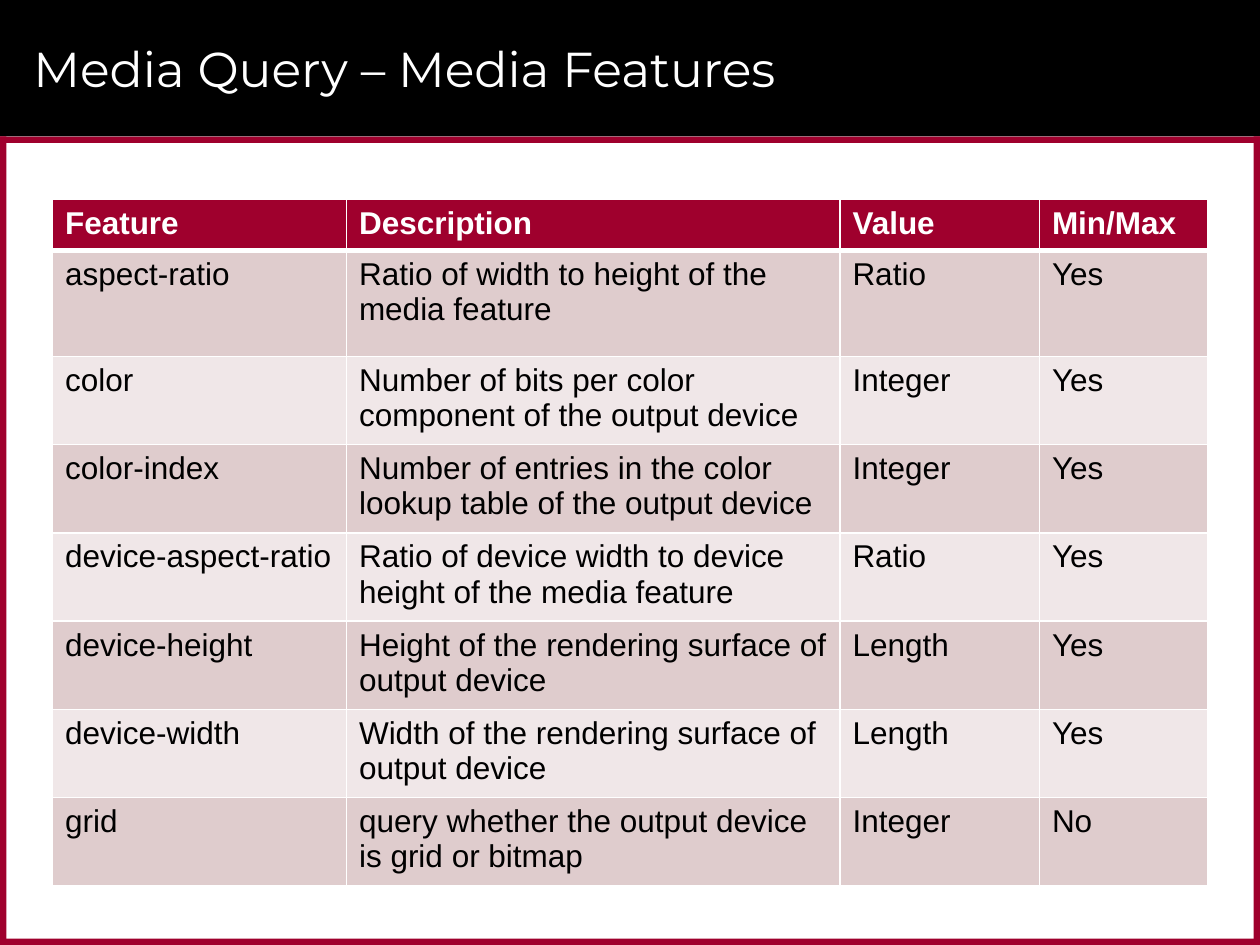
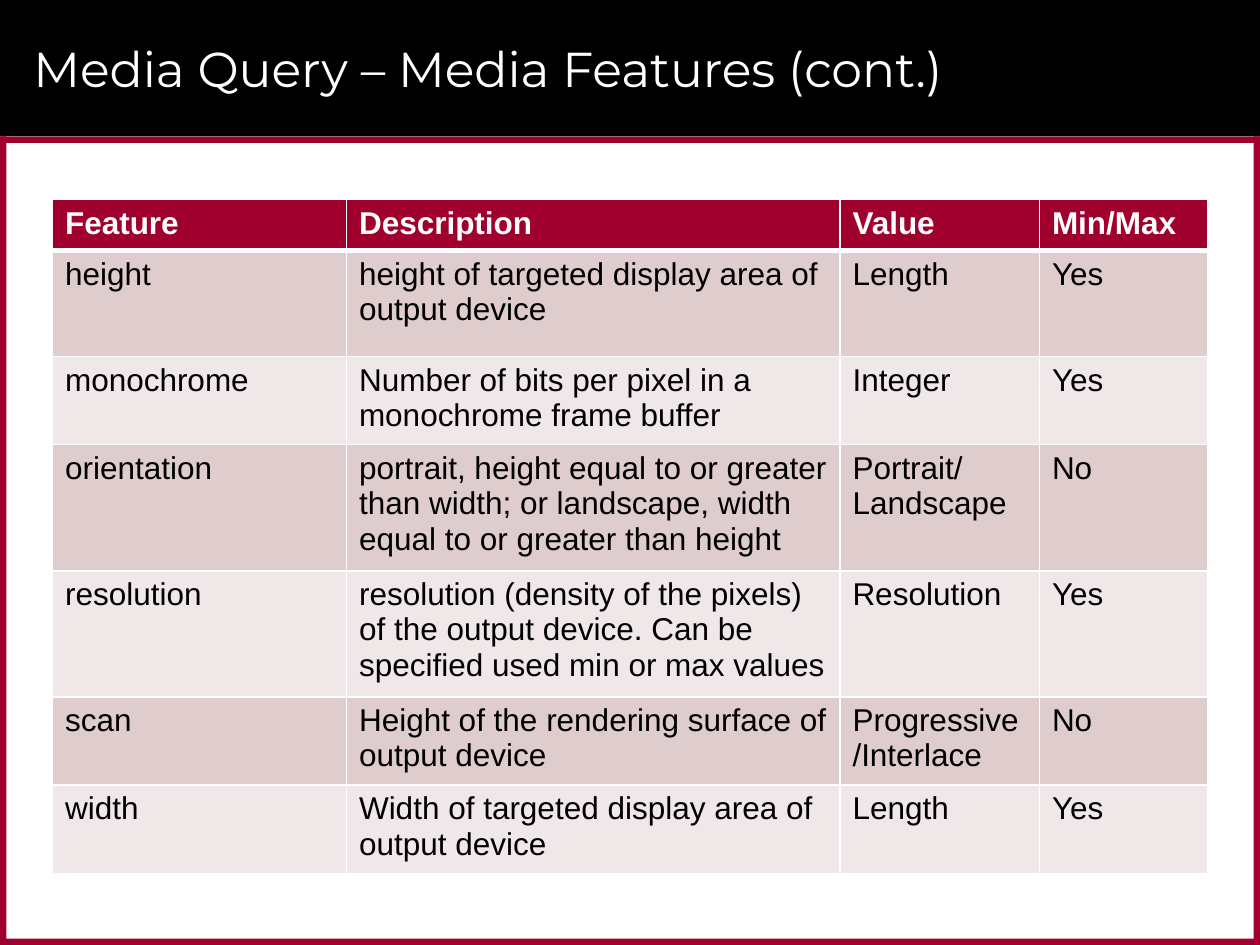
from lxml.etree import SubElement
from pptx import Presentation
from pptx.dml.color import RGBColor
from pptx.enum.shapes import MSO_SHAPE as Shape
from pptx.enum.text import MSO_ANCHOR as Anchor
from pptx.oxml.ns import qn
from pptx.util import Pt

# Content: title, table height in points, features
HEADINGS = ("Feature", "Description", "Value", "Min/Max")
PAGES = [
    ("Media Query – Media Features", 392.4, [
        ("aspect-ratio", "Ratio of width to height of the media feature", "Ratio", "Yes"),
        ("color", "Number of bits per color component of the output device", "Integer", "Yes"),
        ("color-index", "Number of entries in the color lookup table of the output device",
         "Integer", "Yes"),
        ("device-aspect-ratio", "Ratio of device width to device height of the media feature",
         "Ratio", "Yes"),
        ("device-height", "Height of the rendering surface of output device", "Length", "Yes"),
        ("device-width", "Width of the rendering surface of output device", "Length", "Yes"),
        ("grid", "query whether the output device is grid or bitmap", "Integer", "No"),
    ]),
    ("Media Query – Media Features (cont.)", 385.2, [
        ("height", "height of targeted display area of output device", "Length", "Yes"),
        ("monochrome", "Number of bits per pixel in a monochrome frame buffer",
         "Integer", "Yes"),
        ("orientation", "portrait, height equal to or greater than width; "
         "or landscape, width equal to or greater than height", "Portrait/\vLandscape", "No"),
        ("resolution", "resolution (density of the pixels) of the output device. "
         "Can be specified used min or max values", "Resolution", "Yes"),
        ("scan", "Height of the rendering surface of output device",
         "Progressive/Interlace", "No"),
        ("width", "Width of targeted display area of output device", "Length", "Yes"),
    ]),
]

# Colours and text formats
BLACK = RGBColor(0x00, 0x00, 0x00)
WHITE = RGBColor(0xFF, 0xFF, 0xFF)
CRIMSON = RGBColor(0x9F, 0x00, 0x2D)
STRIPES = (RGBColor(0xDF, 0xCC, 0xCD), RGBColor(0xF0, 0xE7, 0xE8))

TITLE_FORMAT = {"name": "Montserrat", "size": Pt(28), "bold": False}
HEADING_FORMAT = {"name": "Arial", "size": Pt(18), "bold": True}
BODY_FORMAT = {**HEADING_FORMAT, "bold": False}

# Layout in points
WIDTH, HEIGHT = 720, 540
BAND_HEIGHT, EDGE = 78, 3.6
FRAME = [
    (0, 0, WIDTH, BAND_HEIGHT, BLACK),
    (0, BAND_HEIGHT, WIDTH, EDGE, CRIMSON),
    (0, HEIGHT - EDGE, WIDTH, EDGE, CRIMSON),
    (WIDTH - EDGE, BAND_HEIGHT, EDGE, HEIGHT - BAND_HEIGHT, CRIMSON),
    (0, BAND_HEIGHT, EDGE, HEIGHT - BAND_HEIGHT, CRIMSON),
]
TITLE_BOX = (12, 6, 678, 66)
TABLE_LEFT, TABLE_TOP = 30, 114
COLUMN_WIDTHS = (168, 282, 114, 96)
ROW_HEIGHT, FIRST_ROW_HEIGHT = 29.2, 60.5
THIN, THICK = 1, 3


def points(*values):
    return [Pt(value) for value in values]


def format_text(frame, text_format, color):
    for paragraph in frame.paragraphs:
        for run in paragraph.runs:
            for key, value in text_format.items():
                setattr(run.font, key, value)
            run.font.color.rgb = color


def add_frame(slide):
    for *box, color in FRAME:
        band = slide.shapes.add_shape(Shape.RECTANGLE, *points(*box))
        band.shadow.inherit = False
        band.fill.solid()
        band.fill.fore_color.rgb = color
        band.line.fill.background()


def add_title(slide, title):
    frame = slide.shapes.add_textbox(*points(*TITLE_BOX)).text_frame
    frame.word_wrap = True
    frame.vertical_anchor = Anchor.MIDDLE
    frame.text = title
    format_text(frame, TITLE_FORMAT, WHITE)


def set_borders(cell, top, bottom):
    properties = cell._tc.get_or_add_tcPr()
    for side, width in (("L", THIN), ("R", THIN), ("T", top), ("B", bottom)):
        border = SubElement(properties, qn(f"a:ln{side}"), w=str(Pt(width)))
        SubElement(SubElement(border, qn("a:solidFill")), qn("a:srgbClr"), val=str(WHITE))


def add_features(slide, features, table_height):
    rows = [HEADINGS, *features]
    holder = slide.shapes.add_table(
        len(rows), len(HEADINGS),
        *points(TABLE_LEFT, TABLE_TOP, sum(COLUMN_WIDTHS), table_height))
    table = holder.table
    for column, width in zip(table.columns, COLUMN_WIDTHS):
        column.width = Pt(width)
    for index, row in enumerate(rows):
        # Rows grow with their text
        table.rows[index].height = Pt(FIRST_ROW_HEIGHT if index == 1 else ROW_HEIGHT)
        is_heading = index == 0
        for position, text in enumerate(row):
            cell = table.cell(index, position)
            cell.text = text
            format_text(cell.text_frame, HEADING_FORMAT if is_heading else BODY_FORMAT,
                        WHITE if is_heading else BLACK)
            set_borders(cell, top=THICK if index == 1 else THIN,
                        bottom=THICK if is_heading else THIN)
            cell.fill.solid()
            cell.fill.fore_color.rgb = CRIMSON if is_heading else STRIPES[(index - 1) % 2]
    holder.height = Pt(table_height)


def main():
    deck = Presentation()
    deck.slide_width, deck.slide_height = points(WIDTH, HEIGHT)
    for title, table_height, features in PAGES:
        slide = deck.slides.add_slide(deck.slide_layouts[6])
        add_frame(slide)
        add_title(slide, title)
        add_features(slide, features, table_height)
    deck.save("out.pptx")


if __name__ == "__main__":
    main()
